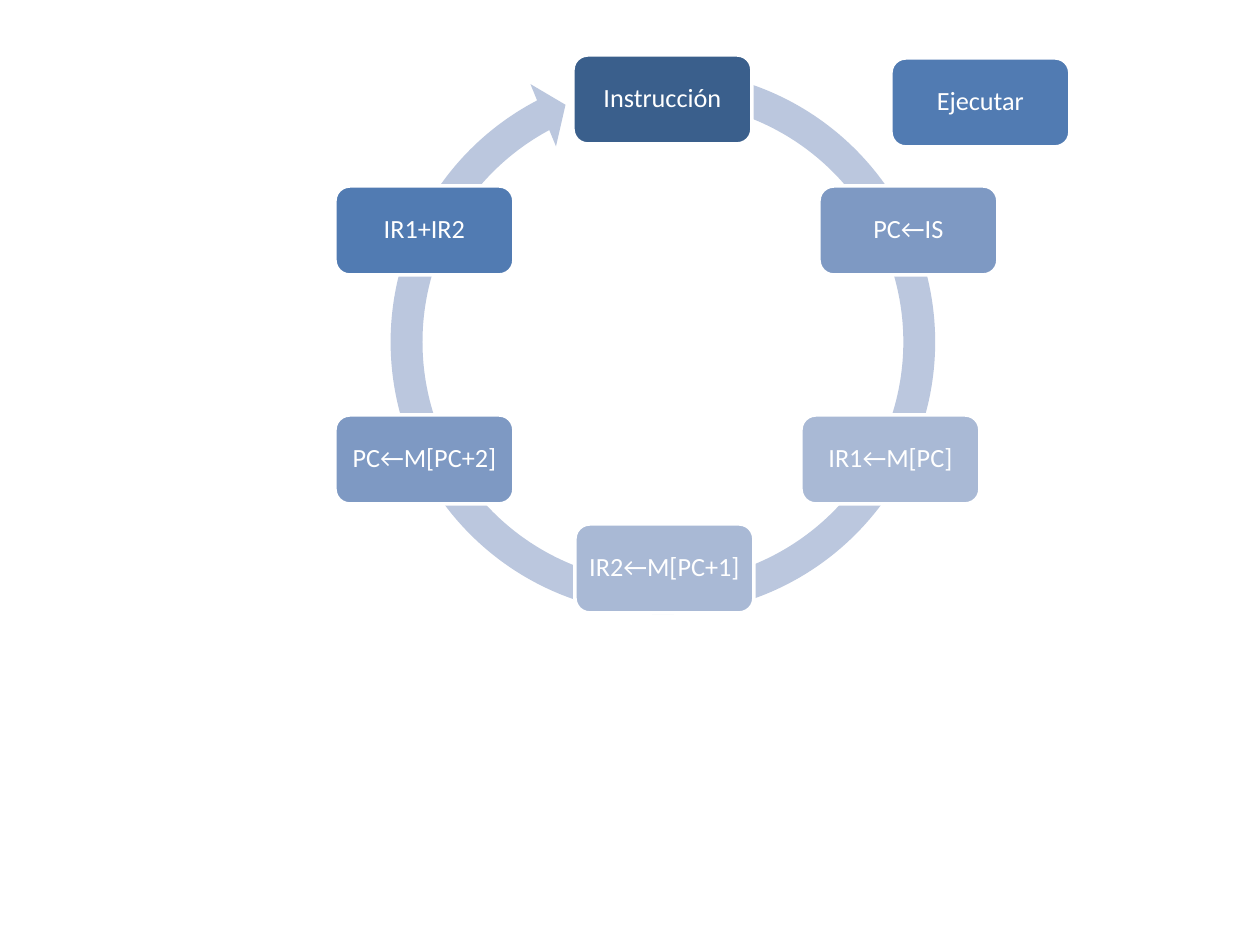
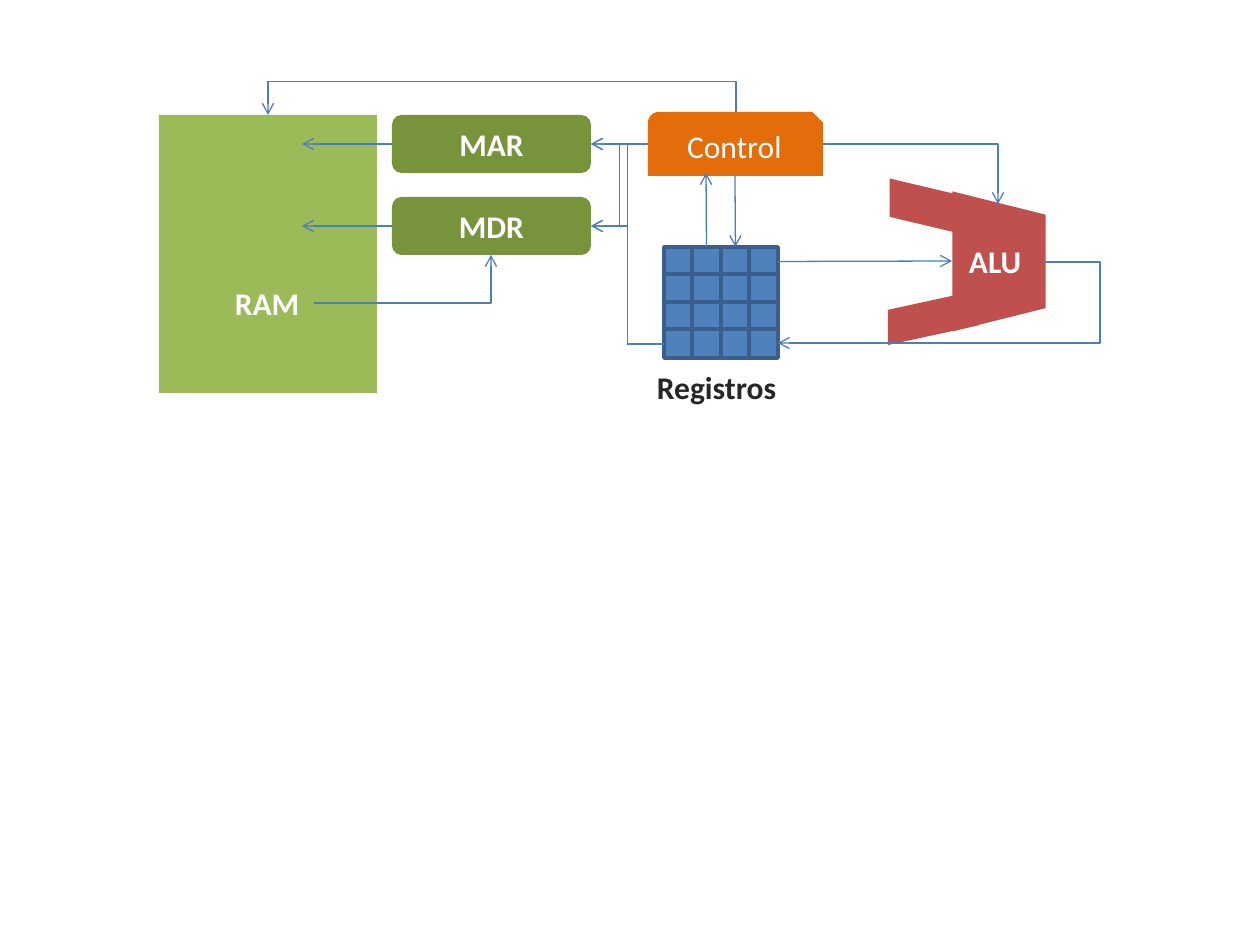
from lxml import etree
from pptx import Presentation
from pptx import util as u
from pptx.dml.color import RGBColor
from pptx.enum import shapes, text
from pptx.oxml.ns import qn

SCALE = 914400 / 126
FONT = "Calibri"
WHITE = RGBColor(0xFF, 0xFF, 0xFF)
INK = RGBColor(0x26, 0x26, 0x26)
RING = RGBColor(0xBB, 0xC7, 0xDE)
NAVY = RGBColor(0x3A, 0x5F, 0x8C)
STRONG_BLUE = RGBColor(0x51, 0x7B, 0xB2)
MID_BLUE = RGBColor(0x7E, 0x99, 0xC3)
PALE_BLUE = RGBColor(0xA9, 0xB9, 0xD5)
CELL_BLUE = RGBColor(0x4F, 0x81, 0xBD)
WIRE = RGBColor(0x4B, 0x7E, 0xBC)
GREEN = RGBColor(0x9B, 0xBB, 0x59)
DARK_GREEN = RGBColor(0x77, 0x93, 0x3C)
RED = RGBColor(0xC0, 0x50, 0x4D)
ORANGE = RGBColor(0xE4, 0x6C, 0x0A)
KIND = shapes.MSO_SHAPE
WIRE_KIND = shapes.MSO_CONNECTOR

STEPS = [
    ("Instrucción", 573, 55, NAVY),
    ("Ejecutar", 891, 58, STRONG_BLUE),
    ("PC←IS", 819, 186, MID_BLUE),
    ("IR1←M[PC]", 801, 415, PALE_BLUE),
    ("IR2←M[PC+1]", 575, 524, PALE_BLUE),
    ("PC←M[PC+2]", 335, 415, MID_BLUE),
    ("IR1+IR2", 335, 186, STRONG_BLUE),
]
RING_PERCENTS = (5.5, 330.7, 14529.8, 16942.2, 5.8)


def px(length):
    return u.Emu(round(length * SCALE))


def write(host, content, size=18, color=WHITE, bold=False, wrap=True,
          align=text.PP_ALIGN.CENTER, anchor=text.MSO_ANCHOR.MIDDLE,
          side_inset=12, spacing=1.0):
    frame = host.text_frame
    frame.word_wrap = wrap
    frame.vertical_anchor = anchor
    frame.margin_left = frame.margin_right = px(side_inset)
    paragraph = frame.paragraphs[0]
    paragraph.alignment = align
    paragraph.line_spacing = spacing
    run = paragraph.add_run()
    run.text = content
    run.font.name = FONT
    run.font.size = u.Pt(size)
    run.font.bold = bold
    run.font.color.rgb = color


def block(slide, kind, left, top, width, height, fill, edge=None,
          adjust=(), rotation=0, flip=False):
    part = slide.shapes.add_shape(kind, px(left), px(top), px(width), px(height))
    part.shadow.inherit = False
    part.fill.solid()
    part.fill.fore_color.rgb = fill
    if edge is None:
        part.line.fill.background()
    else:
        part.line.color.rgb = edge
        part.line.width = u.Pt(2)
    for index, value in enumerate(adjust):
        part.adjustments[index] = value
    part.rotation = rotation
    if flip:
        part._element.spPr.find(qn("a:xfrm")).set("flipH", "1")
    return part


def label(slide, content, left, top, width, color=WHITE):
    caption = slide.shapes.add_textbox(px(left), px(top), px(width), px(50))
    write(caption, content, color=color, bold=True, wrap=False,
          align=text.PP_ALIGN.LEFT, anchor=text.MSO_ANCHOR.TOP)


def arrow(slide, start, end, kind=WIRE_KIND.STRAIGHT):
    wire = slide.shapes.add_connector(kind, *map(px, (*start, *end)))
    wire.line.color.rgb = WIRE
    wire.line.width = u.Pt(0.75)
    etree.SubElement(wire.line._get_or_add_ln(), qn("a:tailEnd"), type="arrow")
    etree.SubElement(wire._element.spPr, qn("a:effectLst"))
    return wire


def set_bend(wire, ratio):
    guides = wire._element.spPr.find(qn("a:prstGeom")).get_or_add_avLst()
    etree.SubElement(guides, qn("a:gd"), name="adj1",
                     fmla=f"val {round(ratio * 100000)}")


def elbow(slide, start, end, bend_x=None):
    wire = arrow(slide, start, end, WIRE_KIND.ELBOW)
    if bend_x is not None:
        set_bend(wire, (bend_x - start[0]) / (end[0] - start[0]))


def corner(slide, start, end):
    wire = arrow(slide, start, end, WIRE_KIND.ELBOW)
    wire._element.spPr.find(qn("a:prstGeom")).set("prst", "bentConnector2")


def overpass(slide, start, end, bend_y):
    drop, reach = end[1] - start[1], start[0] - end[0]
    mid_x, mid_y = (start[0] + end[0]) / 2, (start[1] + end[1]) / 2
    wire = arrow(slide, (mid_x + drop / 2, mid_y + reach / 2),
                 (mid_x - drop / 2, mid_y - reach / 2), WIRE_KIND.ELBOW)
    wire._element.spPr.find(qn("a:xfrm")).set("rot", str(270 * 60000))
    set_bend(wire, (bend_y - start[1]) / drop)


def build_cycle(slide):
    block(slide, KIND.CIRCULAR_ARROW, 373, 52, 580, 580, RING,
          adjust=[percent / 100 for percent in RING_PERCENTS])
    for name, left, top, fill in STEPS:
        step = block(slide, KIND.ROUNDED_RECTANGLE, left, top, 179, 89, fill, WHITE)
        write(step, name, size=15, side_inset=6, spacing=0.9)


def build_alu(slide):
    block(slide, KIND.PARALLELOGRAM, 905, 163, 60, 91, RED,
          adjust=[0.36], rotation=90)
    block(slide, KIND.PARALLELOGRAM, 906, 272, 55, 91, RED,
          adjust=[0.36], rotation=90, flip=True)
    block(slide, KIND.TRAPEZOID, 929, 215, 140, 93, RED, rotation=90)
    label(slide, "ALU", 957, 236, 78)


def build_registers(slide):
    cells = [block(slide, KIND.RECTANGLE, 664 + column * 57 // 2,
                   247 + row * 55 // 2, 29, 29, CELL_BLUE, NAVY)
             for row in range(4) for column in range(4)]
    label(slide, "Registros", 645, 362, 145, INK)
    return cells


def build_datapath(slide):
    block(slide, KIND.RECTANGLE, 159, 115, 218, 278, GREEN)
    label(slide, "RAM", 223, 278, 91)
    buffers = []
    for name, top in (("MAR", 115), ("MDR", 197)):
        buffer = block(slide, KIND.ROUNDED_RECTANGLE, 392, top, 199, 58, DARK_GREEN)
        write(buffer, name, bold=True)
        buffers.append((buffer, top + 29))
    build_alu(slide)
    cells = build_registers(slide)
    control = block(slide, KIND.SNIP_ROUND_RECTANGLE, 648, 112, 175, 64, ORANGE)
    write(control, "Control")

    for buffer, middle in buffers:
        arrow(slide, (392, middle), (302, middle)).begin_connect(buffer, 1)
        elbow(slide, (664, 344), (591, middle))
    mar, mar_y = buffers[0]
    mdr_y = buffers[1][1]
    arrow(slide, (648, mar_y), (591, mar_y)).end_connect(mar, 3)
    elbow(slide, (648, mar_y), (591, mdr_y))
    arrow(slide, (735, 176), (735, 247)).end_connect(cells[2], 0)
    arrow(slide, (706, 247), (706, 173)).begin_connect(cells[1], 0)
    arrow(slide, (778, 261), (952, 261)).begin_connect(cells[3], 3)
    elbow(slide, (1044, 262), (778, 343), bend_x=1100)
    corner(slide, (823, 144), (998, 204))
    corner(slide, (314, 303), (491, 255))
    overpass(slide, (736, 112), (268, 115), bend_y=81)


def main():
    deck = Presentation()
    deck.slide_width, deck.slide_height = px(1260), px(945)
    for build in (build_cycle, build_datapath):
        build(deck.slides.add_slide(deck.slide_layouts[6]))
    deck.save("out.pptx")


if __name__ == "__main__":
    main()
